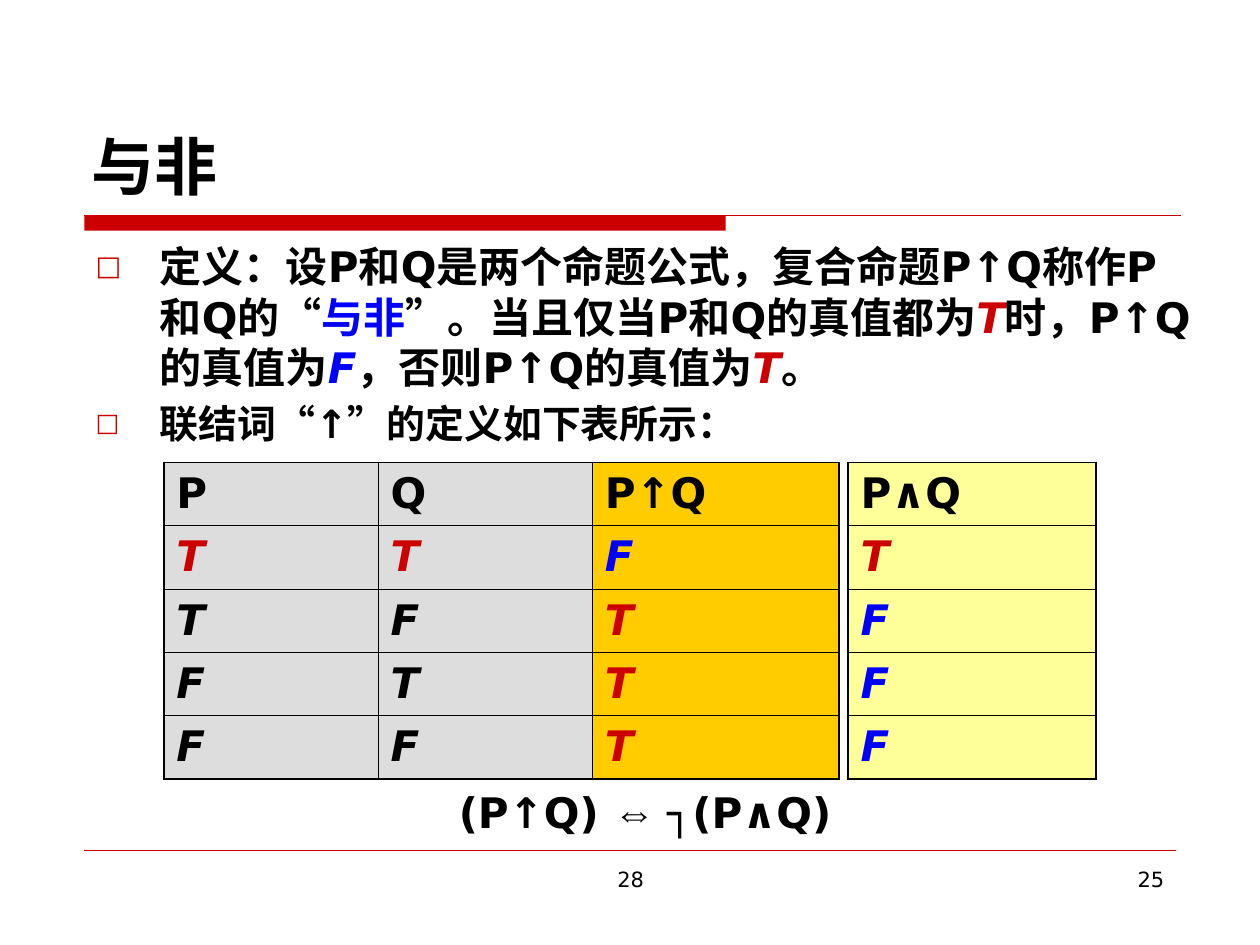
from lxml.etree import SubElement
from pptx import Presentation
from pptx.dml.color import RGBColor
from pptx.enum.lang import MSO_LANGUAGE_ID
from pptx.enum.shapes import MSO_CONNECTOR, MSO_SHAPE
from pptx.enum.text import MSO_ANCHOR, MSO_AUTO_SIZE, PP_ALIGN
from pptx.oxml.ns import qn
from pptx.util import Inches, Pt

SANS, CJK, ARIAL, TIMES = "DejaVu Sans", "Noto Sans CJK SC", "Arial", "Times New Roman"
BLACK, RED, BLUE = "000000", "CC0000", "0000FF"
GRAY, GOLD, CREAM = "DDDDDD", "FFCC00", "FFFF99"


def hue(code):
    return RGBColor.from_string(code)


def style(run, size, color=BLACK, face=SANS, bold=True):
    font = run.font
    font.size, font.bold, font.name = Pt(size), bold, face
    font.italic = run.text in ("T", "F")
    font.color.rgb = hue(color)
    font.language_id = MSO_LANGUAGE_ID.SIMPLIFIED_CHINESE
    east = SubElement(font._element, qn("a:ea"))
    east.set("typeface", SANS if face == SANS else CJK)


def write(para, parts, size, bold=True):
    for text, *look in parts:
        run = para.add_run()
        run.text = text
        style(run, size, *look, bold=bold)


def place(shape, box):
    shape.left, shape.top, shape.width, shape.height = map(Inches, box)
    frame = shape.text_frame
    frame.word_wrap, frame.auto_size = True, MSO_AUTO_SIZE.NONE
    return frame


def heading(slide, box, text):
    frame = place(slide.shapes.title, box)
    frame.vertical_anchor = MSO_ANCHOR.BOTTOM
    para = frame.paragraphs[0]
    para.alignment = PP_ALIGN.LEFT
    write(para, [(text,)], 36)


def bullet(shape, box, parts, size):
    frame = place(shape, box)
    frame.vertical_anchor = MSO_ANCHOR.TOP
    para = frame.paragraphs[0]
    props = para._p.get_or_add_pPr()
    props.set("marL", str(Inches(0.51)))
    props.set("indent", str(-Inches(0.51)))
    tint = SubElement(props, qn("a:buClr"))
    SubElement(tint, qn("a:srgbClr")).set("val", RED)
    SubElement(props, qn("a:buSzPct")).set("val", "65000")
    SubElement(props, qn("a:buFont")).set("typeface", SANS)
    SubElement(props, qn("a:buChar")).set("char", "□")
    para.space_before = Pt(0)
    write(para, parts, size)


def label(slide, box, parts, size, align, bold):
    frame = place(slide.shapes.add_textbox(0, 0, 0, 0), box)
    para = frame.paragraphs[0]
    para.alignment = align
    write(para, parts, size, bold)


def rule(slide, left, top, width, weight):
    line = slide.shapes.add_connector(
        MSO_CONNECTOR.STRAIGHT, Inches(left), Inches(top), Inches(left + width), Inches(top))
    line.line.color.rgb = hue(RED)
    line.line.width = Pt(weight)
    SubElement(line._element.spPr, qn("a:effectLst"))


def band(slide, left, top, width, height):
    bar = slide.shapes.add_shape(
        MSO_SHAPE.RECTANGLE, Inches(left), Inches(top), Inches(5.09), Inches(height))
    bar.shadow.inherit = False
    bar.fill.solid()
    bar.fill.fore_color.rgb = hue(RED)
    bar.line.fill.background()
    rule(slide, left, top, width, 0.75)


def edge(cell, outer):
    props = cell._tc.get_or_add_tcPr()
    for side, thick in zip("LRTB", outer):
        line = SubElement(props, qn("a:ln" + side))
        line.set("w", str(Pt(1.08 if thick else 0.45)))
        fill = SubElement(line, qn("a:solidFill"))
        SubElement(fill, qn("a:srgbClr")).set("val", BLACK)


def grid(slide, box, cols, rows, tone):
    wide, high = len(cols), len(rows)
    table = slide.shapes.add_table(high, wide, *map(Inches, box)).table
    table.first_row = table.horz_banding = False
    for c, (width, fill) in enumerate(cols):
        table.columns[c].width = Inches(width)
        for r in range(high):
            cell = table.cell(r, c)
            edge(cell, (c == 0, c == wide - 1, r == 0, r == high - 1))
            cell.fill.solid()
            cell.fill.fore_color.rgb = hue(fill)
            cell.vertical_anchor = MSO_ANCHOR.MIDDLE
            text = rows[r][c]
            write(cell.text_frame.paragraphs[0], [(text, tone(text, r, fill))], 24)


def tone(text, row, fill):
    if row == 0 or (fill == GRAY and row > 1):
        return BLACK
    return RED if text == "T" else BLUE


def build():
    deck = Presentation()
    deck.slide_width, deck.slide_height = Inches(10), Inches(7.5)
    slide = deck.slides.add_slide(deck.slide_layouts[3])
    first, second = slide.placeholders[1], slide.placeholders[2]
    band(slide, 0.67, 1.71, 8.7, 0.12)
    rule(slide, 0.67, 6.75, 8.66, 0.25)
    heading(slide, (0.63, 0.33, 8.75, 1.33), "与非")
    bullet(first, (0.66, 1.86, 8.91, 1.34), [
        ("定义：", BLACK, CJK),
        ("设P和Q是两个命题公式，复合命题P↑Q称作P和Q的",),
        ("“", BLACK, TIMES), ("与非", BLUE, TIMES), ("”", BLACK, TIMES),
        ("。当且仅当P和Q的真值都为",), ("T", RED),
        ("时，P↑Q的真值为",), ("F", BLUE),
        ("，否则P↑Q的真值为",), ("T", RED), ("。",)], 24)
    bullet(second, (0.66, 3.12, 8.75, 0.47), [
        ("联结词",), ("“", BLACK, ARIAL), ("↑",), ("”", BLACK, ARIAL),
        ("的定义如下表所示：",)], 22.2)
    grid(slide, (1.3, 3.67, 5.36, 2.51), [(1.7, GRAY), (1.7, GRAY), (1.96, GOLD)],
         [("P", "Q", "P↑Q"), *("TTF", "TFT", "FTT", "FFT")], tone)
    grid(slide, (6.73, 3.67, 1.97, 2.51), [(1.97, CREAM)],
         [("P∧Q",), *"TFFF"], tone)
    label(slide, (0.75, 6.19, 8.74, 0.47),
          [("(P↑Q) ",), ("⇔ ", BLACK, ARIAL), ("┐(P∧Q)",)], 24, PP_ALIGN.CENTER, True)
    label(slide, (3.42, 6.83, 3.17, 0.52), [("28",)], 12, PP_ALIGN.CENTER, False)
    label(slide, (7.17, 6.83, 2.17, 0.52), [("25",)], 12, PP_ALIGN.RIGHT, False)
    deck.save("out.pptx")


if __name__ == "__main__":
    build()
